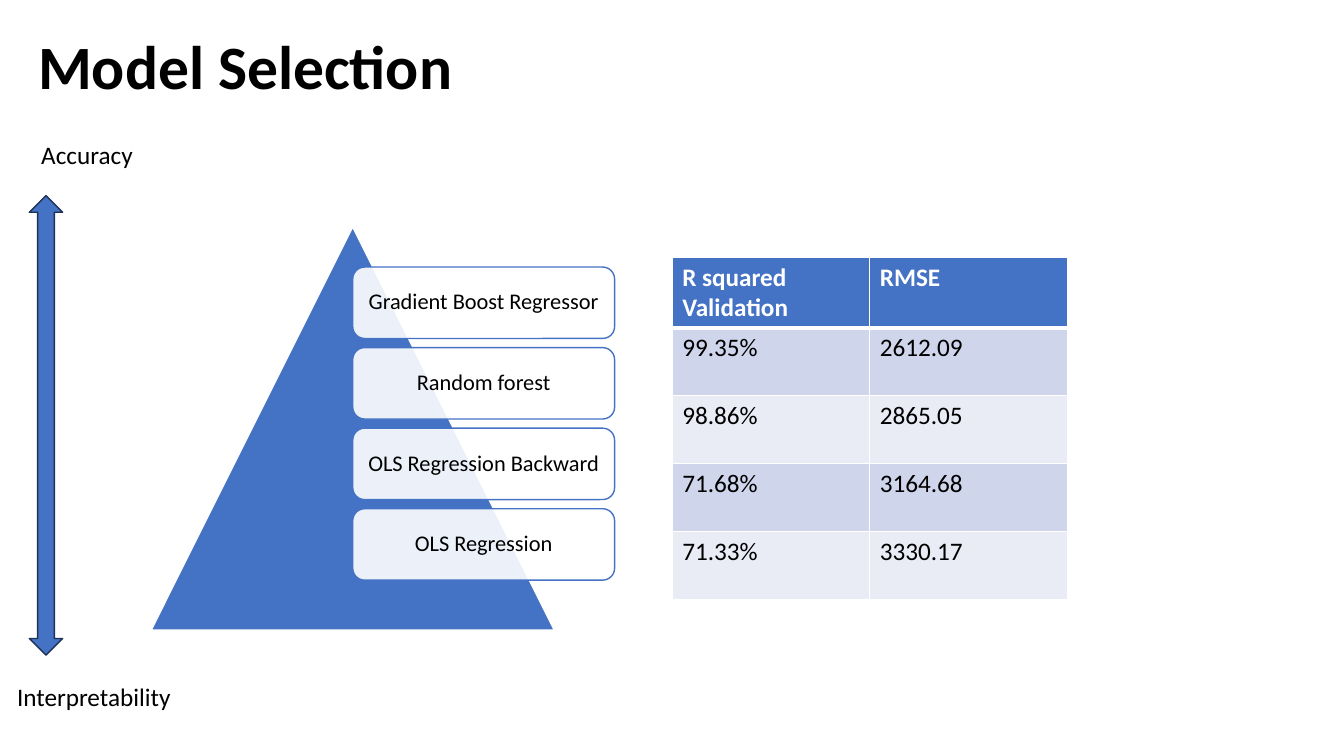
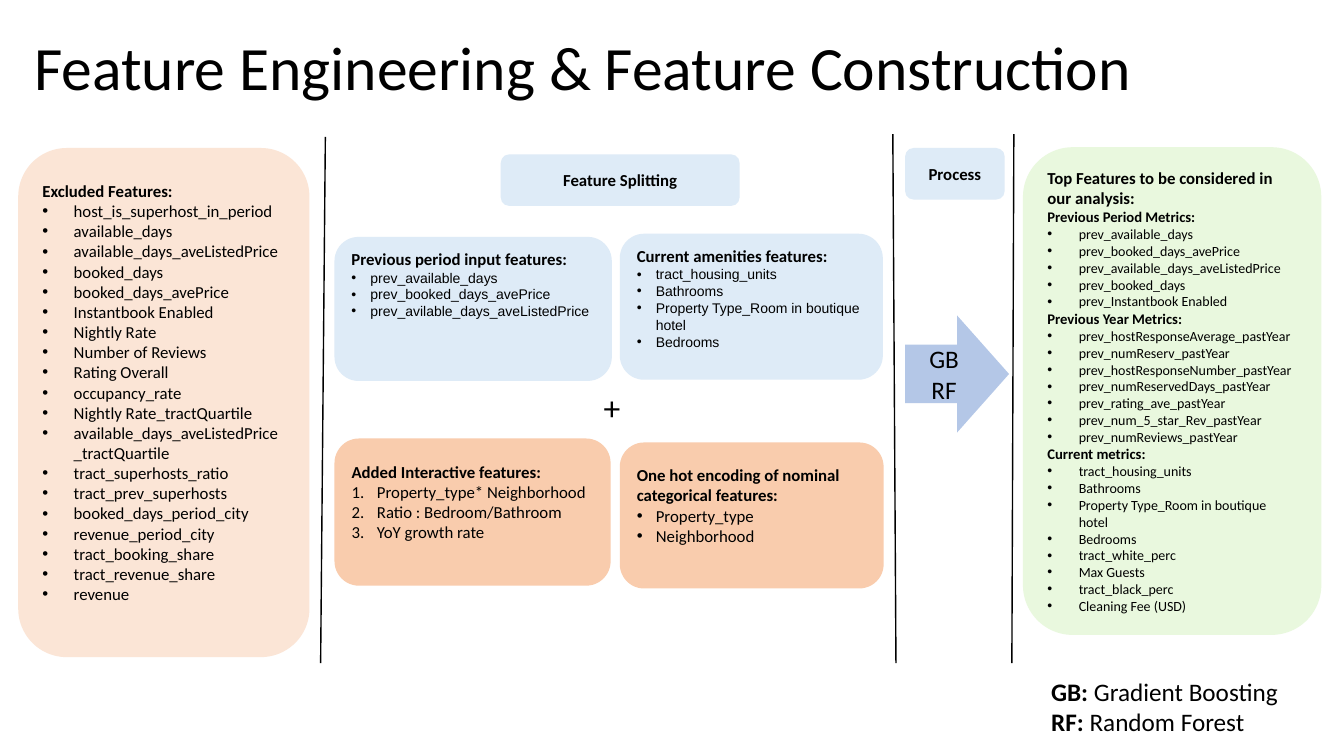
import pptx
import pptx.dml.color
import pptx.enum.shapes
import pptx.enum.text
import pptx.oxml.ns
import pptx.util
from lxml import etree

Cm = pptx.util.Cm
Pt = pptx.util.Pt
qn = pptx.oxml.ns.qn
Shapes = pptx.enum.shapes.MSO_SHAPE
Align = pptx.enum.text.PP_ALIGN
Anchor = pptx.enum.text.MSO_ANCHOR

FONT = "Calibri"
BLACK, WHITE = "000000", "FFFFFF"
BLUE, DARK_BLUE = "4472C4", "1E3256"
PALE_BLUE, ARROW_BLUE = "DEEBF7", "B4C7E7"
PALE_ORANGE, ORANGE, PALE_GREEN = "FBE5D6", "F9CCAD", "E9F8DE"
BAND_COLOURS = ("CFD5EA", "E9EBF5")
TITLE_SIZE = 44

# Places are left, top, width and height in centimetres.
MODELS = ["Gradient Boost Regressor", "Random forest",
          "OLS Regression Backward", "OLS Regression"]
MODEL_PLACE, MODEL_STEP = (8.89, 6.73, 6.6, 1.8), 2.03
SCORES = [
    ("R squared Validation", "RMSE"),
    ("99.35%", "2612.09"),
    ("98.86%", "2865.05"),
    ("71.68%", "3164.68"),
    ("71.33%", "3330.17"),
]
SCORE_LEFT, SCORE_TOP, SCORE_COLUMN, SCORE_ROW = 16.94, 6.48, 4.98, 1.71
AXIS_LABELS = [("Accuracy", (0.79, 3.38, 4.57, 1.02)),
               ("Interpretability", (0.18, 17.04, 4.57, 1.02))]

# Each section of a panel is a heading, its size and its items.
PANELS = [
    dict(place=(0.46, 3.73, 7.34, 12.83), fill=PALE_ORANGE, indent=0.79,
         item_size=12, bottom=0.64, sections=[
             ("Excluded Features:", 12, [
                 "host_is_superhost_in_period", "available_days",
                 "available_days_aveListedPrice", "booked_days",
                 "booked_days_avePrice", "Instantbook Enabled",
                 "Nightly Rate", "Number of Reviews", "Rating Overall",
                 "occupancy_rate", "Nightly Rate_tractQuartile",
                 "available_days_aveListedPrice_tractQuartile",
                 "tract_superhosts_ratio", "tract_prev_superhosts",
                 "booked_days_period_city", "revenue_period_city",
                 "tract_booking_share", "tract_revenue_share", "revenue"])]),
    dict(place=(25.78, 3.71, 7.52, 12.29), fill=PALE_GREEN, indent=0.79,
         item_size=10, sections=[
             ("Top Features to be considered in our analysis:", 12, []),
             ("Previous Period Metrics:", 10.5, [
                 "prev_available_days", "prev_booked_days_avePrice",
                 "prev_available_days_aveListedPrice", "prev_booked_days",
                 "prev_Instantbook Enabled"]),
             ("Previous Year Metrics:", 10.5, [
                 "prev_hostResponseAverage_pastYear",
                 "prev_numReserv_pastYear",
                 "prev_hostResponseNumber_pastYear",
                 "prev_numReservedDays_pastYear", "prev_rating_ave_pastYear",
                 "prev_num_5_star_Rev_pastYear", "prev_numReviews_pastYear"]),
             ("Current metrics:", 10.5, [
                 "tract_housing_units", "Bathrooms",
                 "Property Type_Room in boutique hotel", "Bedrooms",
                 "tract_white_perc", "Max Guests", "tract_black_perc",
                 "Cleaning Fee (USD)"])]),
    dict(place=(8.43, 11.05, 6.96, 3.71), fill=ORANGE, indent=0.64,
         item_size=12, bottom=0.64, numbered=True, sections=[
             ("Added Interactive features:", 12, [
                 "Property_type* Neighborhood", "Ratio : Bedroom/Bathroom",
                 "YoY growth rate"])]),
    dict(place=(8.43, 5.97, 6.99, 3.63), fill=PALE_BLUE, indent=0.48,
         item_size=10, item_font="Arial", anchor=Anchor.TOP, sections=[
             ("Previous period input features:", 12, [
                 "prev_available_days", "prev_booked_days_avePrice",
                 "prev_avilable_days_aveListedPrice"])]),
    dict(place=(15.62, 5.89, 6.63, 3.68), fill=PALE_BLUE, indent=0.48,
         item_size=10, item_font="Arial", anchor=Anchor.TOP, sections=[
             ("Current amenities features:", 12, [
                 "tract_housing_units", "Bathrooms",
                 "Property Type_Room in boutique hotel", "Bedrooms"])]),
    dict(place=(15.62, 11.15, 6.65, 3.68), fill=ORANGE, indent=0.48,
         item_size=12, bottom=0.64, sections=[
             ("One hot encoding of nominal categorical features:", 12, [
                 "Property_type", "Neighborhood"])]),
]
STAGE_LABELS = [("Feature Splitting", (12.62, 3.89, 6.02, 1.3)),
                ("Process", (22.81, 3.73, 2.51, 1.3))]
DIVIDERS = [(8.2, 3.45, 8.08, 16.71), (22.5, 3.38, 22.58, 16.71),
            (25.55, 3.38, 25.5, 16.71)]
LEGEND = [("GB: ", "Gradient Boosting"), ("RF: ", "Random Forest")]


def colour(value):
    return pptx.dml.color.RGBColor.from_string(value)


def centimetres(values):
    return [Cm(value) for value in values]


def format_runs(paragraph, size, bold=False, font=FONT, text_colour=BLACK):
    for run in paragraph.runs:
        run.font.size = Pt(size)
        run.font.bold = bold
        run.font.name = font
        run.font.color.rgb = colour(text_colour)


def add_box(slide, kind, place, fill, line=None):
    shape = slide.shapes.add_shape(kind, *centimetres(place))
    shape.shadow.inherit = False
    shape.fill.solid()
    shape.fill.fore_color.rgb = colour(fill)
    if line:
        shape.line.color.rgb = colour(line)
        shape.line.width = Pt(1)
    else:
        shape.line.fill.background()
    return shape


def write_centred(shape, text, size, bold=False):
    shape.text_frame.word_wrap = True
    shape.text_frame.vertical_anchor = Anchor.MIDDLE
    shape.text_frame.text = text
    for paragraph in shape.text_frame.paragraphs:
        paragraph.alignment = Align.CENTER
        format_runs(paragraph, size, bold)


def add_text(slide, text, place, size, bold=False):
    text_frame = slide.shapes.add_textbox(*centimetres(place)).text_frame
    text_frame.word_wrap = True
    text_frame.text = text
    format_runs(text_frame.paragraphs[0], size, bold)
    return text_frame


def add_title(slide, text, place, bold=False):
    text_frame = add_text(slide, text, place, TITLE_SIZE, bold)
    text_frame.vertical_anchor = Anchor.MIDDLE
    text_frame.paragraphs[0].line_spacing = 0.9


def add_marker(paragraph, indent, numbered):
    """Give the paragraph a bullet or a number with a hanging indent."""
    properties = paragraph._p.get_or_add_pPr()
    properties.set("marL", str(Cm(indent)))
    properties.set("indent", str(-Cm(indent)))
    if numbered:
        etree.SubElement(properties, qn("a:buAutoNum"), type="arabicPeriod")
    else:
        etree.SubElement(properties, qn("a:buFont"), typeface="Arial")
        etree.SubElement(properties, qn("a:buChar"), char="•")


def add_panel(slide, place, fill, indent, item_size, sections, bottom=0.13,
              numbered=False, item_font=FONT, anchor=Anchor.MIDDLE):
    text_frame = add_box(slide, Shapes.ROUNDED_RECTANGLE, place, fill).text_frame
    text_frame.word_wrap = True
    text_frame.vertical_anchor = anchor
    text_frame.margin_bottom = Cm(bottom)
    lines = []
    for heading, size, items in sections:
        lines.append((heading, size, True))
        lines.extend((item, item_size, False) for item in items)
    text_frame.text = "\n".join(text for text, _, _ in lines)
    for paragraph, (_, size, is_heading) in zip(text_frame.paragraphs, lines):
        paragraph.alignment = Align.LEFT
        if not is_heading:
            add_marker(paragraph, indent, numbered)
        format_runs(paragraph, size, is_heading,
                    FONT if is_heading else item_font)


def add_cell_borders(cell, bottom_width):
    properties = cell._tc.get_or_add_tcPr()
    for position, side in enumerate(("lnL", "lnR", "lnT", "lnB")):
        width = bottom_width if side == "lnB" else 1
        line = etree.Element(qn("a:" + side), w=str(Pt(width)))
        fill = etree.SubElement(line, qn("a:solidFill"))
        etree.SubElement(fill, qn("a:srgbClr"), val=WHITE)
        properties.insert(position, line)


def add_score_table(slide):
    row_count, column_count = len(SCORES), len(SCORES[0])
    table = slide.shapes.add_table(
        row_count, column_count, Cm(SCORE_LEFT), Cm(SCORE_TOP),
        Cm(SCORE_COLUMN * column_count), Cm(SCORE_ROW * row_count)).table
    table.horz_banding = False
    for column in table.columns:
        column.width = Cm(SCORE_COLUMN)
    for row_number, values in enumerate(SCORES):
        is_header = row_number == 0
        table.rows[row_number].height = Cm(SCORE_ROW)
        for column_number, value in enumerate(values):
            cell = table.cell(row_number, column_number)
            cell.text = value
            format_runs(cell.text_frame.paragraphs[0], 18, is_header,
                        text_colour=WHITE if is_header else BLACK)
            cell.fill.solid()
            cell.fill.fore_color.rgb = colour(
                BLUE if is_header else BAND_COLOURS[(row_number - 1) % 2])
            add_cell_borders(cell, 3 if is_header else 1)


def add_model_box(slide, name, top):
    left, _, width, height = MODEL_PLACE
    box = add_box(slide, Shapes.ROUNDED_RECTANGLE,
                  (left, top, width, height), WHITE, BLUE)
    fill_colour = box._element.spPr.find(".//" + qn("a:srgbClr"))
    etree.SubElement(fill_colour, qn("a:alpha"), val="90000")
    text_frame = box.text_frame
    text_frame.margin_left = text_frame.margin_right = Cm(0.18)
    text_frame.margin_top = text_frame.margin_bottom = Cm(0.18)
    write_centred(box, name, 16)
    text_frame.paragraphs[0].line_spacing = 0.9


def add_divider(slide, ends):
    line = slide.shapes.add_connector(
        pptx.enum.shapes.MSO_CONNECTOR.STRAIGHT, *centimetres(ends))
    line.line.color.rgb = colour(BLACK)
    line.line.width = Pt(1)
    etree.SubElement(line._element.spPr, qn("a:effectLst"))


def build_model_selection(slide):
    add_title(slide, "Model Selection", (0.71, 0.41, 29.16, 2.67), bold=True)
    add_box(slide, Shapes.ISOSCELES_TRIANGLE,
            (3.81, 5.72, 10.16, 10.16), BLUE, WHITE)
    for index, name in enumerate(MODELS):
        add_model_box(slide, name, MODEL_PLACE[1] + index * MODEL_STEP)
    add_score_table(slide)
    add_box(slide, Shapes.UP_DOWN_ARROW,
            (0.74, 4.93, 0.84, 11.58), BLUE, DARK_BLUE)
    for text, place in AXIS_LABELS:
        add_text(slide, text, place, 18)


def build_feature_engineering(slide):
    add_title(slide, "Feature Engineering & Feature Construction",
              (0.61, 0.18, 29.21, 3.2))
    for panel in PANELS:
        add_panel(slide, **panel)
    for text, place in STAGE_LABELS:
        label = add_box(slide, Shapes.ROUNDED_RECTANGLE, place, PALE_BLUE)
        write_centred(label, text, 12, bold=True)
    arrow = add_box(slide, Shapes.RIGHT_ARROW,
                    (22.81, 7.95, 2.62, 2.95), ARROW_BLUE)
    write_centred(arrow, "GB\nRF", 18)
    add_text(slide, "+", (14.96, 9.63, 1.32, 1.27), 24)
    for ends in DIVIDERS:
        add_divider(slide, ends)
    legend = add_text(slide, "\n".join(short for short, _ in LEGEND),
                      (26.24, 16.92, 7.62, 1.8), 18)
    for paragraph, (_, meaning) in zip(legend.paragraphs, LEGEND):
        paragraph.add_run().text = meaning
        format_runs(paragraph, 18)
        paragraph.runs[0].font.bold = True


def main():
    presentation = pptx.Presentation()
    presentation.slide_width = Cm(33.87)
    presentation.slide_height = Cm(19.05)
    blank = presentation.slide_layouts[6]
    for build in (build_model_selection, build_feature_engineering):
        build(presentation.slides.add_slide(blank))
    presentation.save("out.pptx")


if __name__ == "__main__":
    main()
